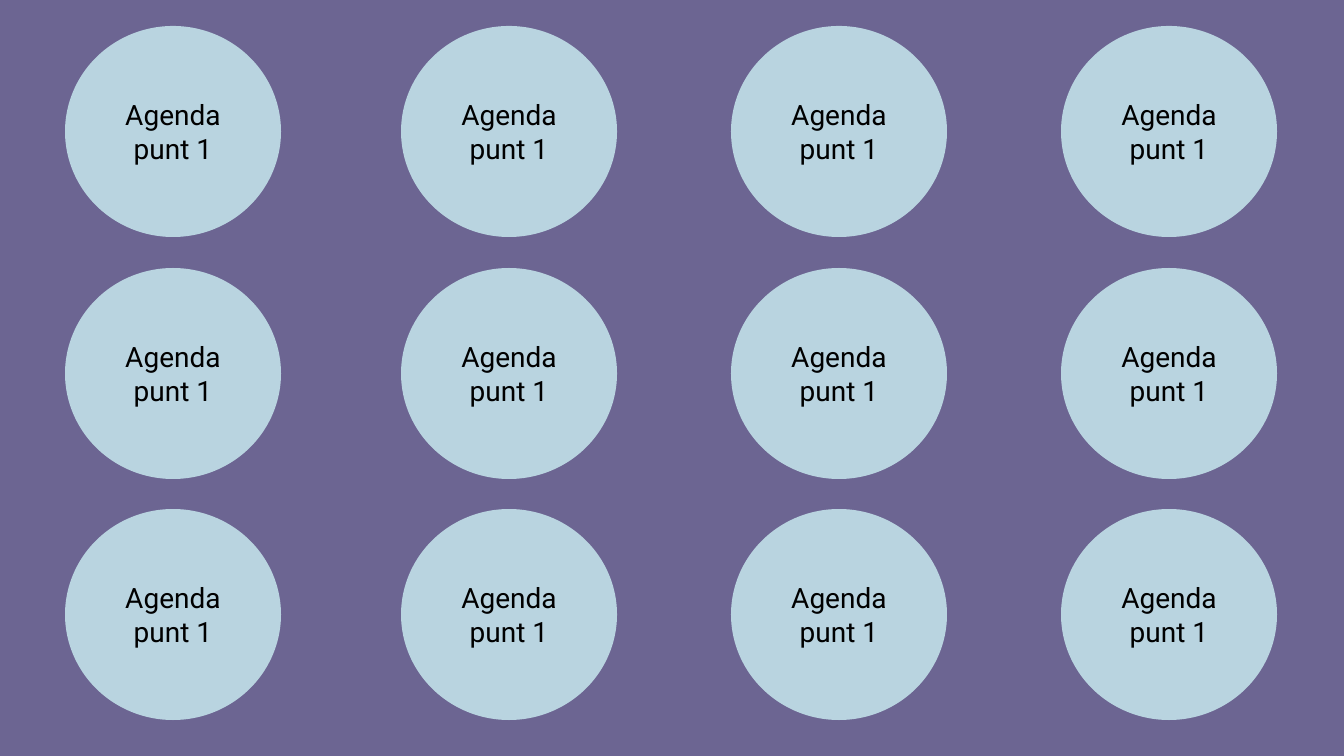
import itertools

import lxml.etree
import pptx
import pptx.dml.color
import pptx.enum.shapes
import pptx.enum.text
import pptx.oxml.ns
import pptx.util

EMU_PER_PX = 914400 / 100.8
SLIDE_WIDTH, SLIDE_HEIGHT = 1344, 756
COLORS = {"page": "FFFFFF", "veil": "2E2465", "circle": "C9EBF0", "text": "000000"}
FONT_FORMAT = {"name": "Roboto", "size": pptx.util.Pt(20)}

# Circle grid
COLUMN_LEFTS = (65, 401, 731, 1061)
ROW_TOPS = (26, 268, 509)
CIRCLE_WIDTH, CIRCLE_HEIGHT = 216, 211


def px(length):
    return pptx.util.Emu(round(length * EMU_PER_PX))


def rgb(name):
    return pptx.dml.color.RGBColor.from_string(COLORS[name])


def add_tinted_shape(slide, kind, box, color, opacity):
    """Add a borderless shape with a see-through fill; opacity in percent."""
    shape = slide.shapes.add_shape(kind, *map(px, box))
    shape.shadow.inherit = False
    shape.line.fill.background()
    shape.fill.solid()
    shape.fill.fore_color.rgb = rgb(color)
    qn = pptx.oxml.ns.qn
    fill_color = shape.element.spPr.find(qn("a:solidFill")).find(qn("a:srgbClr"))
    lxml.etree.SubElement(fill_color, qn("a:alpha"), val=str(opacity * 1000))
    return shape


def add_agenda_circle(slide, left, top, text):
    box = (left, top, CIRCLE_WIDTH, CIRCLE_HEIGHT)
    circle = add_tinted_shape(
        slide, pptx.enum.shapes.MSO_SHAPE.OVAL, box, "circle", 83)
    frame = circle.text_frame
    frame.word_wrap = True
    frame.vertical_anchor = pptx.enum.text.MSO_ANCHOR.MIDDLE
    paragraph = frame.paragraphs[0]
    paragraph.alignment = pptx.enum.text.PP_ALIGN.CENTER
    run = paragraph.add_run()
    run.text = text
    for attribute, value in FONT_FORMAT.items():
        setattr(run.font, attribute, value)
    run.font.color.rgb = rgb("text")


def main():
    presentation = pptx.Presentation()
    presentation.slide_width = px(SLIDE_WIDTH)
    presentation.slide_height = px(SLIDE_HEIGHT)
    slide = presentation.slides.add_slide(presentation.slide_layouts[6])

    # Background
    slide.background.fill.solid()
    slide.background.fill.fore_color.rgb = rgb("page")
    add_tinted_shape(slide, pptx.enum.shapes.MSO_SHAPE.RECTANGLE,
                     (0, 0, SLIDE_WIDTH, SLIDE_HEIGHT), "veil", 70)

    # Agenda items, row by row
    for top, left in itertools.product(ROW_TOPS, COLUMN_LEFTS):
        add_agenda_circle(slide, left, top, "Agenda punt 1")

    presentation.save("out.pptx")


if __name__ == "__main__":
    main()
